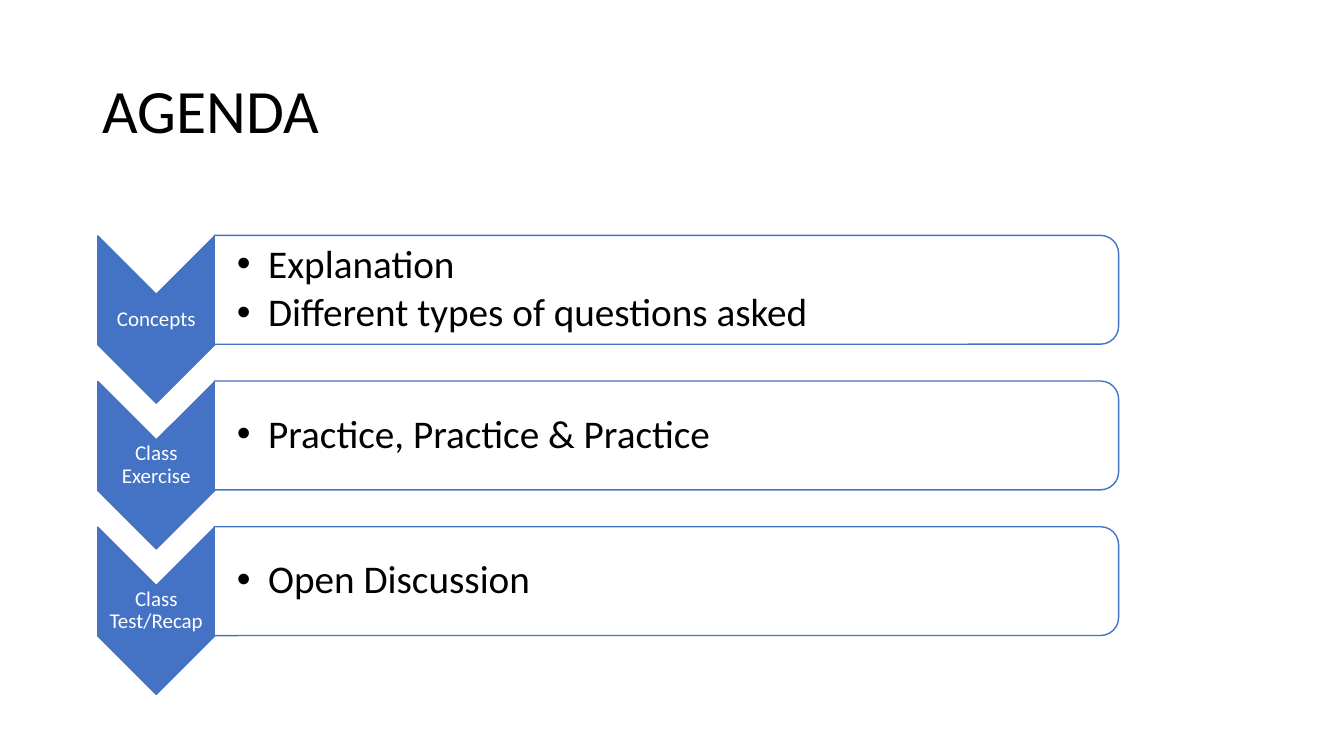
from lxml.etree import SubElement
from pptx import Presentation
from pptx.dml.color import RGBColor
from pptx.enum.shapes import MSO_SHAPE
from pptx.enum.text import MSO_ANCHOR, PP_ALIGN
from pptx.oxml.ns import qn
from pptx.util import Inches, Pt

TITLE = "AGENDA"
STEPS = [
    ("Concepts", ["Explanation", "Different types of questions asked"]),
    ("Class Exercise", ["Practice, Practice & Practice"]),
    ("Class Test/Recap", ["Open Discussion"]),
]
COLORS = {"blue": "4472C4", "white": "FFFFFF", "black": "000000"}
FONT = "Calibri"
TOP, LAST = 2.59, 5.48
PITCH = (LAST - TOP) / (len(STEPS) - 1)

deck = Presentation()
deck.slide_width, deck.slide_height = Inches(13.33), Inches(7.5)
slide = deck.slides.add_slide(deck.slide_layouts[6])


def color(name):
    return RGBColor.from_string(COLORS[name])


def add_text(lines, box, size, ink="black", align=PP_ALIGN.LEFT,
             inset=(0.1, 0.05, 0.1, 0.05), after=0, bullet=False):
    frame = slide.shapes.add_textbox(*map(Inches, box)).text_frame
    frame.word_wrap = True
    frame.vertical_anchor = MSO_ANCHOR.MIDDLE
    (frame.margin_left, frame.margin_top,
     frame.margin_right, frame.margin_bottom) = map(Inches, inset)
    for i, line in enumerate(lines):
        para = frame.paragraphs[0] if i == 0 else frame.add_paragraph()
        para.alignment = align
        para.line_spacing = 0.9
        para.space_before, para.space_after = Pt(0), Pt(after)
        run = para.add_run()
        run.text = line
        run.font.name, run.font.size = FONT, Pt(size)
        run.font.color.rgb = color(ink)
        if bullet:
            props = para._p.get_or_add_pPr()
            props.set("marL", str(Inches(0.31)))
            props.set("indent", str(Inches(-0.31)))
            SubElement(props, qn("a:buFont"), typeface="Arial")
            SubElement(props, qn("a:buChar"), char="•")


def add_turned(kind, box, fill):
    shape = slide.shapes.add_shape(kind, *map(Inches, box))
    shape.rotation = 90
    shape.shadow.inherit = False
    shape.fill.solid()
    shape.fill.fore_color.rgb = color(fill)
    shape.line.color.rgb = color("blue")
    shape.line.width = Pt(1)


add_text([TITLE], (0.92, 0.4, 11.5, 1.45), 44)
for i, (label, points) in enumerate(STEPS):
    top = TOP + i * PITCH
    add_turned(MSO_SHAPE.CHEVRON, (0.72, top, 1.66, 1.16), "blue")
    add_text([label], (0.97, top + 0.33, 1.16, 0.5), 15, ink="white",
             align=PP_ALIGN.CENTER, inset=(0.01,) * 4)
    add_turned(MSO_SHAPE.ROUND_2_SAME_RECTANGLE,
               (6.07, top - 4.2, 1.08, 8.97), "white")
    add_text(points, (2.13, top - 0.2, 8.92, 0.97), 28,
             inset=(0.22, 0.02, 0.02, 0.02), after=4.2, bullet=True)

deck.save("out.pptx")
